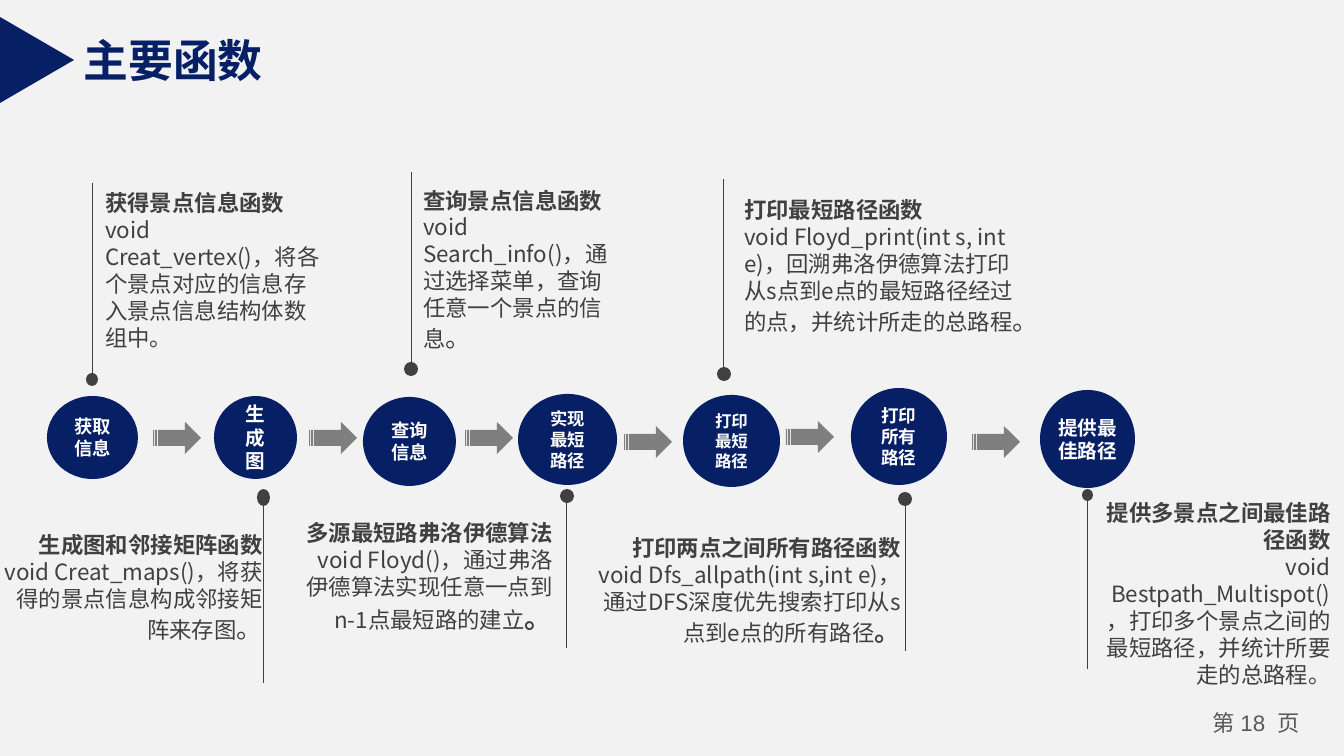
from pptx import Presentation
from pptx.dml.color import RGBColor
from pptx.enum.shapes import MSO_CONNECTOR, MSO_SHAPE
from pptx.enum.text import MSO_ANCHOR, MSO_AUTO_SIZE, PP_ALIGN
from pptx.oxml.ns import qn
from pptx.util import Emu, Pt
from lxml import etree

NAVY = RGBColor(0x07, 0x1F, 0x65)
DARK = RGBColor(0x40, 0x40, 0x40)
GRAY = RGBColor(0x7F, 0x7F, 0x7F)
PAGE_GRAY = RGBColor(0x59, 0x59, 0x59)
PAPER = RGBColor(0xF2, 0xF2, 0xF2)
WHITE = RGBColor(0xFF, 0xFF, 0xFF)
CJK, ARIAL = "Noto Sans CJK SC", "Arial"
LEFT, CENTER, RIGHT = PP_ALIGN.LEFT, PP_ALIGN.CENTER, PP_ALIGN.RIGHT
TOP, MIDDLE = MSO_ANCHOR.TOP, MSO_ANCHOR.MIDDLE
ELLIPSE, TRIANGLE = MSO_SHAPE.OVAL, MSO_SHAPE.ISOSCELES_TRIANGLE
ARROW = MSO_SHAPE.STRIPED_RIGHT_ARROW
STRAIGHT = MSO_CONNECTOR.STRAIGHT
EMU_PER_PX = 914400 / 134.4


def px(*lengths):
    return [Emu(round(n * EMU_PER_PX)) for n in lengths]


class Deck:
    """Holds the presentation, its current slide and the shared style."""

    def __init__(self, width, height):
        self.prs = Presentation()
        self.prs.slide_width, self.prs.slide_height = px(width, height)

    def add_slide(self):
        self.slide = self.prs.slides.add_slide(self.prs.slide_layouts[5])
        fill = self.slide.background.fill
        fill.solid()
        fill.fore_color.rgb = PAPER

    def run(self, p, text, size, color, bold=False, font=CJK):
        r = p.add_run()
        r.text = text
        r.font.size, r.font.bold, r.font.name = Pt(size), bold, font
        r.font.color.rgb = color
        etree.SubElement(r.font._element, qn("a:ea"), typeface=CJK)

    def title(self, text, box):
        sp = self.slide.shapes.title
        sp.left, sp.top, sp.width, sp.height = px(*box)
        tf = sp.text_frame
        tf.word_wrap, tf.auto_size = False, MSO_AUTO_SIZE.NONE
        tf.vertical_anchor = TOP
        p = tf.paragraphs[0]
        p.alignment = LEFT
        self.run(p, text, 24, NAVY, True, ARIAL)

    def shape(self, kind, box, color, rotation=0):
        sp = self.slide.shapes.add_shape(kind, *px(*box))
        sp.shadow.inherit = False
        sp.fill.solid()
        sp.fill.fore_color.rgb = color
        sp.line.fill.background()
        sp.rotation = rotation
        return sp

    def step(self, text, box, size, inset=13):
        sp = self.shape(ELLIPSE, box, NAVY)
        tf = sp.text_frame
        tf.word_wrap, tf.vertical_anchor = True, MIDDLE
        tf.margin_left, tf.margin_right = px(inset, inset)
        p = tf.paragraphs[0]
        p.alignment = CENTER
        self.run(p, text, size, WHITE, True)

    def line(self, x, y1, y2):
        line = self.slide.shapes.add_connector(STRAIGHT, *px(x, y1, x, y2))
        line.line.color.rgb = DARK
        line.line.width = Pt(0.5)
        etree.SubElement(line._element.spPr, qn("a:effectLst"))

    def text_box(self, box, wrap=True):
        tf = self.slide.shapes.add_textbox(*px(*box)).text_frame
        tf.word_wrap = wrap
        return tf

    def callout(self, dot, x, end, box, heading, body, stop=None, joined=False):
        """Dot, stem and text; stop is the size and weight of a final 。

        A joined heading shares one paragraph with the body.
        """
        left, top, width, height = dot
        above = end < top
        self.shape(ELLIPSE, dot, DARK)
        self.line(x, top if above else top + height, end)
        tf = self.text_box(box)
        first = tf.paragraphs[0]
        second = first if joined else tf.add_paragraph()
        first.alignment = second.alignment = LEFT if above else RIGHT
        self.run(first, heading, 12, DARK, True)
        self.run(second, body, 12, DARK)
        if stop:
            size, bold = stop
            self.run(second, "。", size, DARK, bold)

    def page_number(self, number, box):
        tf = self.text_box(box, wrap=False)
        tf.margin_left, tf.margin_right = px(9, 9)
        tf.margin_top, tf.margin_bottom = px(5, 5)
        tf.vertical_anchor = TOP
        p = tf.paragraphs[0]
        p.alignment = CENTER
        for text, font in (("第 ", CJK), (f"{number}  ", ARIAL), ("页", CJK)):
            self.run(p, text, 12, PAGE_GRAY, font=font)


CALLOUTS = [
    ((86, 373, 12, 13), 93, 183, (92, 183, 243, 211), "获得景点信息函数",
     "void Creat_vertex()，将各个景点对应的信息存入景点信息结构体数组中。"),
    ((257, 489, 13, 17), 263, 683, (-15, 525, 291, 132), "生成图和邻接矩阵函数",
     " void Creat_maps()，将获得的景点信息构成邻接矩阵来存图", (14, False)),
    ((717, 367, 14, 14), 724, 179, (731, 190, 305, 153), "打印最短路径函数",
     "void Floyd_print(int s, int e)，回溯弗洛伊德算法打印从s点到e点的最短路径经过的点，"
     "并统计所走的总路程", (14, False)),
    ((404, 362, 14, 14), 411, 172, (410, 180, 214, 181), "查询景点信息函数",
     "void Search_info()，通过选择菜单，查询任意一个景点的信息", (14, False)),
    ((898, 492, 14, 14), 905, 651, (575, 528, 339, 126), "打印两点之间所有路径函数",
     "void Dfs_allpath(int s,int e)，通过DFS深度优先搜索打印从s点到e点的所有路径",
     (14, True), True),
    ((560, 489, 14, 14), 567, 648, (289, 513, 277, 156), "多源最短路弗洛伊德算法",
     "void Floyd()，通过弗洛伊德算法实现任意一点到n-1点最短路的建立", (15, True)),
    ((1082, 489, 11, 12), 1088, 669, (1091, 493, 253, 203), "提供多景点之间最佳路径函数",
     "void Bestpath_Multispot()，打印多个景点之间的最短路径，并统计所要走的总路程。"),
]
STEPS = [
    ("获取信息", (47, 396, 91, 83), 9.8),
    ("生成图", (214, 396, 83, 83), 10.5),
    ("查询信息", (363, 397, 93, 89), 9.8),
    ("实现最短路径", (518, 394, 99, 91), 9.3),
    ("打印最短路径", (683, 395, 97, 92), 8.8),
    ("打印所有路径", (851, 388, 96, 97), 9.4),
    ("提供最佳路径", (1040, 390, 95, 98), 10.5, 0),
]
ARROWS = [(153, 422), (309, 422), (465, 422), (624, 426), (786, 421), (972, 426)]


def main():
    deck = Deck(1344, 756)
    deck.add_slide()
    deck.title("主要函数", (70, 26, 208, 67))
    deck.shape(TRIANGLE, (-6, 23, 86, 74), NAVY, 90)
    for callout in CALLOUTS:
        deck.callout(*callout)
    for step in STEPS:
        deck.step(*step)
    for x, y in ARROWS:
        deck.shape(ARROW, (x, y, 48, 32), GRAY)
    deck.page_number(18, (1196, 704, 121, 40))
    deck.prs.save("out.pptx")


if __name__ == "__main__":
    main()
